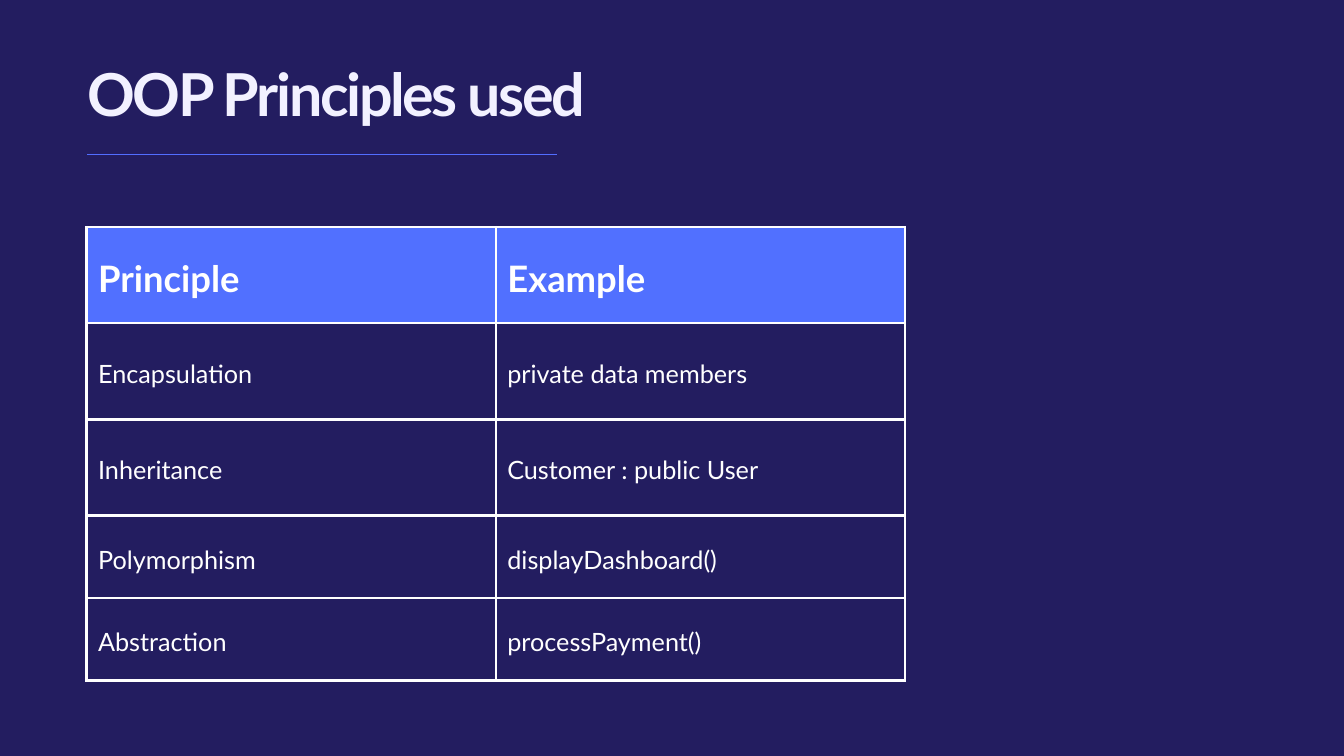
from lxml import etree
from pptx import Presentation
from pptx.dml.color import RGBColor
from pptx.enum.shapes import MSO_CONNECTOR
from pptx.enum.text import MSO_ANCHOR, MSO_AUTO_SIZE, PP_ALIGN
from pptx.oxml import parse_xml
from pptx.oxml.ns import nsdecls, qn
from pptx.util import Inches, Pt

NAVY = RGBColor(0x23, 0x1D, 0x60)
HEADER_BLUE = RGBColor(0x51, 0x70, 0xFF)
RULE_BLUE = RGBColor(0x52, 0x6E, 0xFF)
WHITE = RGBColor(0xFF, 0xFF, 0xFF)
TITLE_WHITE = RGBColor(0xF2, 0xF1, 0xFF)

STRAIGHT = MSO_CONNECTOR.STRAIGHT
TOP, MIDDLE = MSO_ANCHOR.TOP, MSO_ANCHOR.MIDDLE
LEFT = PP_ALIGN.LEFT
GROW = MSO_AUTO_SIZE.SHAPE_TO_FIT_TEXT

TITLE_ONLY = 5
WIDTH, HEIGHT = 20, 11.25
COLUMNS = 200  # square grid units across the slide

PRINCIPLES = [
    ("Principle", "Example"),
    ("Encapsulation", "private data members"),
    ("Inheritance", "Customer : public User"),
    ("Polymorphism", "displayDashboard()"),
    ("Abstraction", "processPayment()"),
]


class SlideBuilder:
    font = "Lato"
    cell_inset = Inches(0.17)
    border_width = Pt(3)

    def __init__(self, presentation):
        self.unit = presentation.slide_width / COLUMNS
        self.slide = presentation.slides.add_slide(
            presentation.slide_layouts[TITLE_ONLY])
        background = self.slide.background.fill
        background.solid()
        background.fore_color.rgb = NAVY

    def grid(self, *units):
        return [round(value * self.unit) for value in units]

    def format_text(self, frame, size, color, line_spacing, bold=False):
        paragraph = frame.paragraphs[0]
        paragraph.alignment = LEFT
        paragraph.line_spacing = Pt(line_spacing)
        font = paragraph.runs[0].font
        font.name, font.size, font.bold = self.font, Pt(size), bold
        font.color.rgb = color

    def title(self, text, left, top, width, height):
        heading = self.slide.shapes.title
        heading.left, heading.top, heading.width, heading.height = self.grid(
            left, top, width, height)
        frame = heading.text_frame
        frame.text = text
        frame.word_wrap, frame.auto_size = True, GROW
        frame.vertical_anchor = TOP
        frame.margin_left = frame.margin_right = 0
        frame.margin_top = frame.margin_bottom = 0
        self.format_text(frame, 63.4, TITLE_WHITE, 66, bold=True)
        run = frame.paragraphs[0].runs[0]
        run._r.get_or_add_rPr().set("spc", "-250")

    def rule(self, left, top, width):
        line = self.slide.shapes.add_connector(
            STRAIGHT, *self.grid(left, top, left + width, top))
        line.line.color.rgb = RULE_BLUE
        line.line.width = Pt(0.75)
        etree.SubElement(line._element.spPr, qn("a:effectLst"))

    def borders(self, cell):
        properties = cell._tc.get_or_add_tcPr()
        for side in ("lnL", "lnR", "lnT", "lnB"):
            properties.append(parse_xml(
                f'<a:{side} {nsdecls("a")} w="{self.border_width}">'
                f'<a:solidFill><a:srgbClr val="{WHITE}"/></a:solidFill>'
                f'</a:{side}>'))

    def cell(self, cell, text, is_header):
        cell.text = text
        cell.vertical_anchor = MIDDLE
        cell.margin_left = cell.margin_right = self.cell_inset
        cell.margin_top = cell.margin_bottom = self.cell_inset
        self.borders(cell)
        if is_header:
            cell.fill.solid()
            cell.fill.fore_color.rgb = HEADER_BLUE
            self.format_text(cell.text_frame, 39, WHITE, 54.6, bold=True)
        else:
            cell.fill.background()
            self.format_text(cell.text_frame, 27, WHITE, 37.8)

    def table(self, rows, left, top, width, row_heights):
        table = self.slide.shapes.add_table(
            len(rows), len(rows[0]),
            *self.grid(left, top, width, sum(row_heights))).table
        table.first_row = table.horz_banding = False
        for row, height in zip(table.rows, self.grid(*row_heights)):
            row.height = height
        for row_index, texts in enumerate(rows):
            for column_index, text in enumerate(texts):
                self.cell(table.cell(row_index, column_index), text,
                          is_header=row_index == 0)


def main():
    presentation = Presentation()
    presentation.slide_width = Inches(WIDTH)
    presentation.slide_height = Inches(HEIGHT)
    builder = SlideBuilder(presentation)

    # Heading with its rule
    builder.title("OOP Principles used", 13, 9.9, 111, 9.2)
    builder.rule(13, 23, 69.9)

    # Principles and where they appear
    builder.table(PRINCIPLES, 12.9, 33.8, 121.8,
                  [14.3] * 3 + [12.3] * 2)

    presentation.save("out.pptx")


if __name__ == "__main__":
    main()
